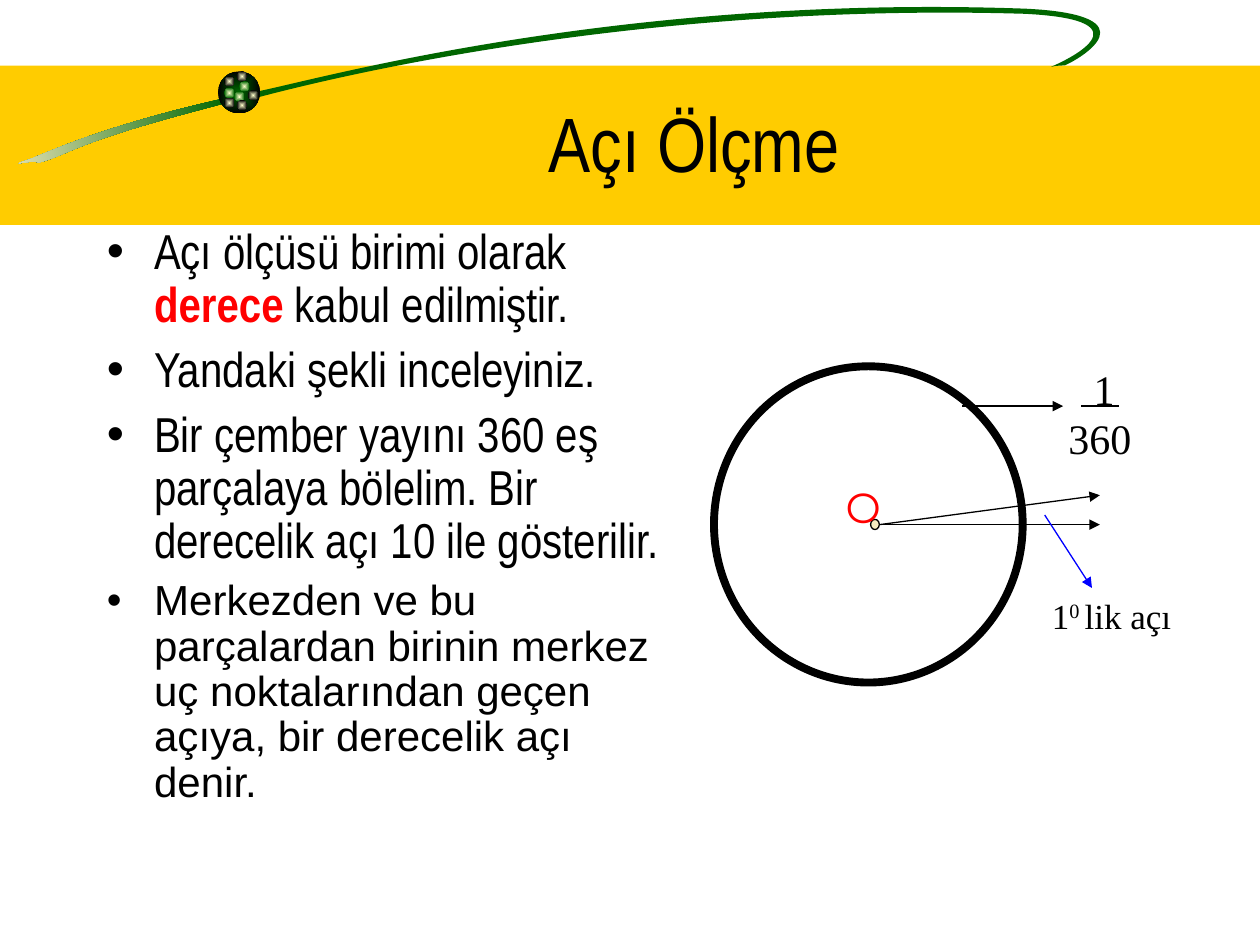
from dataclasses import dataclass
from math import cos, radians, sin

from pptx import Presentation
from pptx.dml.color import RGBColor as RGB
from pptx.enum.shapes import MSO_CONNECTOR as Connector, MSO_SHAPE as Preset
from pptx.enum.text import MSO_ANCHOR as Anchor, MSO_AUTO_SIZE as AutoSize, PP_ALIGN as Align
from pptx.oxml.ns import qn
from pptx.oxml.xmlchemy import OxmlElement as Element
from pptx.util import Pt


@dataclass(frozen=True)
class Theme:
    black: str = "000000"
    white: str = "FFFFFF"
    band: str = "FFCC00"
    green: str = "006600"
    cream: str = "F5EBC1"
    glow: str = "FFFFCC"
    red: str = "FF0000"
    blue: str = "0000FF"
    title: tuple = ("Arial Narrow", 44)
    body: tuple = ("Arial Narrow", 28)
    closing: tuple = ("Arial", 24)
    centre: tuple = ("Montserrat", 24)
    fraction: tuple = ("Times New Roman", 24)
    caption: tuple = ("Times New Roman", 20)


def assign(target, values):
    for key, value in values.items():
        setattr(target, key, value)


def add_child(parent, tag, **attributes):
    child = Element(tag)
    for key, value in attributes.items():
        child.set(key, str(value))
    parent.append(child)
    return child


class SlideArtist:
    def __init__(self, slide, theme):
        self.slide, self.theme = slide, theme

    def paint(self, shape, fill=None, line=None, width=0.75, alpha=None):
        """Fill is a colour, a (from, to) gradient pair, or None."""
        shape.shadow.inherit = False
        if fill is None:
            shape.fill.background()
        elif isinstance(fill, tuple):
            shape.fill.gradient()
            for stop, colour in zip(shape.fill.gradient_stops, fill):
                stop.color.rgb = RGB.from_string(colour)
        else:
            shape.fill.solid()
            shape.fill.fore_color.rgb = RGB.from_string(fill)
            if alpha:
                solid = shape._element.spPr.find(qn("a:solidFill"))
                add_child(solid[0], "a:alpha", val=alpha * 1000)
        if line:
            shape.line.color.rgb = RGB.from_string(line)
            shape.line.width = Pt(width)
        else:
            shape.line.fill.background()
        return shape

    def preset(self, kind, box, **look):
        shape = self.slide.shapes.add_shape(kind, *map(Pt, box))
        return self.paint(shape, **look)

    def sphere(self, left, top, size, core, rim):
        ball = self.preset(Preset.OVAL, (left, top, size, size), fill=(core, rim))
        gradient = ball._element.spPr.find(qn("a:gradFill"))
        gradient.remove(gradient.find(qn("a:lin")))
        focus = add_child(gradient, "a:path")
        focus.set("path", "rect")
        add_child(focus, "a:fillToRect", l=50000, t=50000, r=50000, b=50000)

    def ribbon(self, box, start, segments, fill, tilt=8.5):
        """Points are where they show after the tilt; three make a curve, one a line."""
        left, top, width, height = box
        builder = self.slide.shapes.build_freeform(0, 0)
        builder.add_line_segments([(Pt(width), Pt(height))])
        shape = self.paint(builder.convert_to_shape(Pt(left), Pt(top)), fill=fill)
        shape.rotation = 360 - tilt
        if isinstance(fill, tuple):
            shape.fill.gradient_angle = 180
        outline = next(shape._element.iter(qn("a:path")))
        for step in list(outline):
            outline.remove(step)
        turn = radians(tilt)
        tags = {1: "a:lnTo", 3: "a:cubicBezTo"}
        steps = [("a:moveTo", [start])] + [(tags[len(part)], part) for part in segments]
        for tag, points in steps:
            step = add_child(outline, tag)
            for x, y in points:
                dx, dy = x - left - width / 2, y - top - height / 2
                add_child(step, "a:pt",
                          x=Pt(width / 2 + dx * cos(turn) - dy * sin(turn)),
                          y=Pt(height / 2 + dx * sin(turn) + dy * cos(turn)))
        add_child(outline, "a:close")

    def line(self, start, end, colour=None, arrow=True):
        connector = self.slide.shapes.add_connector(
            Connector.STRAIGHT, *map(Pt, (*start, *end)))
        connector.line.color.rgb = RGB.from_string(colour or self.theme.black)
        connector.line.width = Pt(0.75)
        if arrow:
            add_child(connector.line._get_or_add_ln(), "a:tailEnd", type="triangle")
        add_child(connector._element.spPr, "a:effectLst")

    def text(self, box, paragraphs, frame=None):
        holder = self.slide.shapes.add_textbox(*map(Pt, box)).text_frame
        assign(holder, {"word_wrap": True, **(frame or {})})
        for index, (style, runs, layout) in enumerate(paragraphs):
            paragraph = holder.add_paragraph() if index else holder.paragraphs[0]
            assign(paragraph, layout)
            for words, look in runs:
                self.run(paragraph, style, words, **look)
        return holder

    def run(self, paragraph, style, words, colour=None, bold=False, raised=False):
        run = paragraph.add_run()
        run.text = words
        assign(run.font, {"name": style[0], "size": Pt(style[1]), "bold": bold})
        run.font.color.rgb = RGB.from_string(colour or self.theme.black)
        if raised:
            run._r.get_or_add_rPr().set("baseline", "30000")

    def bullets(self, box, items):
        for paragraph in self.text(box, items).paragraphs:
            properties = paragraph._p.get_or_add_pPr()
            for key, value in {"marL": Pt(27), "indent": -Pt(27)}.items():
                properties.set(key, str(value))
            colour = add_child(properties, "a:buClr")
            add_child(colour, "a:srgbClr", val=self.theme.black)
            add_child(properties, "a:buFont", typeface="Arial")
            add_child(properties, "a:buChar", char="•")

    def label(self, box, style, runs, before=15, align=Align.LEFT):
        layout = {"space_before": Pt(before), "alignment": align}
        self.text(box, [(style, runs, layout)], {"auto_size": AutoSize.SHAPE_TO_FIT_TEXT})


def draw_header(artist, theme):
    artist.preset(Preset.RECTANGLE, (0, 37.5, 720, 91), fill=theme.band)
    artist.ribbon((-2.2, 65.5, 132.5, 21.6), (128.2, 56.2), [
        [(65.5, 70.6), (35.3, 83.5), (18, 90.7)],
        [(0.7, 96.5), (18.7, 90.7), (22.3, 92.9)],
        [(41, 87.8), (41, 81.4), (128.9, 59)],
        [(128.9, 59), (128.2, 56.2), (128.2, 56.2)],
    ], (theme.green, theme.cream))
    artist.ribbon((144.7, -10.8, 515.5, 78.5), (145.4, 52.6), [
        [(177.1, 46.8), (349.9, -3.6), (586.1, 5)],
        [(660.2, 8.6), (617, 33.8), (608.4, 37.4)],
        [(608.4, 37.4), (603.4, 37.4), (600.5, 38.2)],
        [(607.7, 35.3), (659.5, 11.5), (585.4, 7.9)],
        [(394.6, 2.2), (230.4, 33.8), (148.3, 55.4)],
        [(148.3, 55.4), (145.4, 52.6), (145.4, 52.6)],
    ], theme.green)
    artist.sphere(124.6, 40.8, 24, theme.green, theme.black)
    sparkles = [
        (136.8, 46.5, theme.green), (128.2, 43.6, theme.black), (128.2, 50.2, theme.green),
        (133.9, 52.3, theme.green), (141.8, 51.6, theme.black), (135.4, 57.3, theme.black),
        (128.2, 55.9, theme.black), (135.4, 40.8, theme.black),
    ]
    for left, top, rim in sparkles:
        artist.sphere(left, top, 5.8, theme.glow, rim)
    artist.preset(Preset.RECTANGLE, (53.3, 148.3, 87.8, 391.7), fill=theme.white, alpha=50)
    artist.text((90.7, 36, 612, 90),
                [(theme.title, [("Açı Ölçme", {})], {"alignment": Align.CENTER})],
                {"vertical_anchor": Anchor.MIDDLE})


def draw_explanation(artist, theme):
    spacing = {"line_spacing": 0.9, "space_before": Pt(7)}
    artist.bullets((54, 126.2, 342, 354), [
        (theme.body, [("Açı ölçüsü birimi olarak ", {}),
                      ("derece ", {"colour": theme.red, "bold": True}),
                      ("kabul edilmiştir.", {})], spacing),
        (theme.body, [("Yandaki şekli inceleyiniz.", {})], spacing),
        (theme.body, [("Bir çember yayını 360 eş parçalaya bölelim. "
                       "Bir derecelik açı 10 ile gösterilir.", {})], spacing),
        (theme.closing, [("Merkezden ve bu parçalardan birinin merkez uç noktalarından "
                          "geçen açıya, bir derecelik açı denir.", {})],
         {**spacing, "space_before": Pt(6)}),
    ])


def draw_angle(artist, theme):
    artist.label((594, 336.2, 90, 31.7), theme.caption,
                 [("1", {}), ("0 ", {"raised": True}), ("lik açı", {})], before=12.5)
    artist.preset(Preset.OVAL, (408, 209.3, 176.4, 180.7), line=theme.black, width=4.5)
    artist.line((497.5, 299.8), (628.5, 299.8))
    artist.line((502.5, 299.8), (628.5, 283))
    artist.preset(Preset.OVAL, (497.5, 296.8, 5, 5.8), fill=theme.cream, line=theme.black)
    artist.label((476.2, 271.4, 63.4, 36), theme.centre, [("O", {"colour": theme.red})])
    artist.line((550, 232.1), (607.5, 232.1))
    artist.label((602.2, 204, 57.6, 36), theme.fraction, [("1", {})], align=Align.CENTER)
    artist.line((618, 232.1), (639.2, 232.1), arrow=False)
    artist.label((602.2, 232.2, 52.6, 36), theme.fraction, [("360", {})], align=Align.CENTER)
    artist.line((597, 294.3), (624, 336), theme.blue)


def main():
    deck = Presentation()
    assign(deck, {"slide_width": Pt(720), "slide_height": Pt(540)})
    theme = Theme()
    artist = SlideArtist(deck.slides.add_slide(deck.slide_layouts[6]), theme)
    for draw in (draw_header, draw_explanation, draw_angle):
        draw(artist, theme)
    deck.save("out.pptx")


if __name__ == "__main__":
    main()
